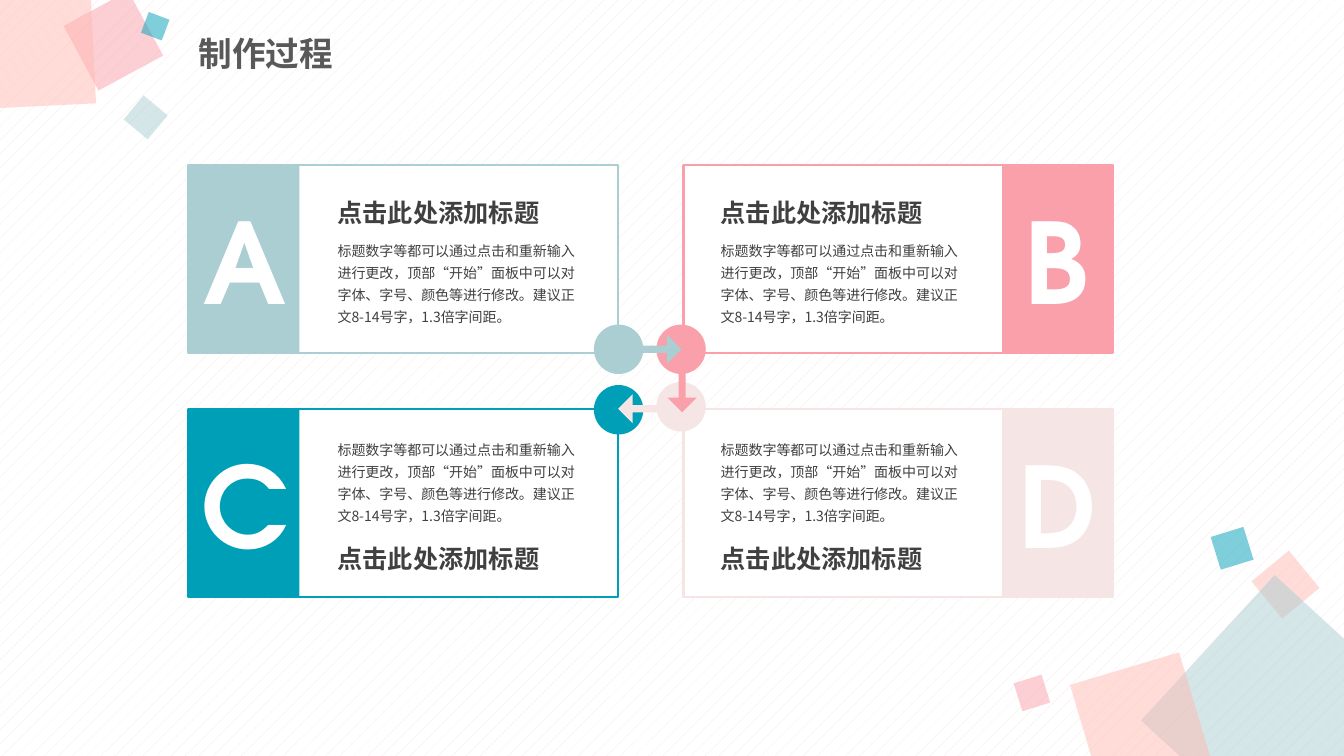
import pptx
import pptx.util
import pptx.dml.color
import pptx.enum.dml
import pptx.enum.shapes
import pptx.enum.text
import pptx.oxml
import pptx.oxml.ns

Inches = pptx.util.Inches
Shape = pptx.enum.shapes.MSO_SHAPE
Align = pptx.enum.text.PP_ALIGN
Anchor = pptx.enum.text.MSO_ANCHOR

SANS = "Noto Sans CJK SC"
GEOMETRIC = "TeX Gyre Adventor"
WHITE, DARK, GRAY = "FFFFFF", "404040", "595959"
MIST, PINK, TEAL, BLUSH, PEACH = "AACED2", "FAA0AA", "009FB8", "F5E5E4", "FFBBB3"

HEADING = "点击此处添加标题"
BODY = ("标题数字等都可以通过点击和重新输入进行更改，顶部“开始”面板中可以对"
        "字体、字号、颜色等进行修改。建议正文8-14号字，1.3倍字间距。")

# left, top, side, rotation, colour
TILES = [
    (12.51, 5.56, 0.48, 320.6, PEACH),
    (11.72, 6.11, 1.96, 42.6, MIST),
    (10.75, 6.61, 1.13, 343.4, PEACH),
    (10.09, 6.73, 0.29, 342.8, PINK),
    (12.05, 5.27, 0.34, 342.8, TEAL),
    (0.76, 0.04, 0.73, 331.6, PINK),
    (-0.46, -0.32, 1.38, 357.2, PEACH),
    (1.29, 1.01, 0.31, 309.8, MIST),
    (1.43, 0.15, 0.22, 290.5, TEAL),
]

# letter, colour, column, row, circle top, letter left, letter width
CARDS = [
    ("A", MIST, 0, 0, 3.22, 1.91, 1.03),
    ("B", PINK, 1, 0, 3.22, 10.06, 0.85),
    ("C", TEAL, 0, 1, 3.82, 1.89, 1.08),
    ("D", BLUSH, 1, 1, 3.79, 6.78 + 3.16, 1.1),
]
CARD_LEFT, CARD_TOP = (1.87, 6.78), (1.64, 4.06)
CARD_WIDTH, CARD_HEIGHT, STRIP_WIDTH = 4.26, 1.86, 1.1
STRIP_LEFT = (CARD_LEFT[0], CARD_LEFT[1] + CARD_WIDTH - STRIP_WIDTH)
TEXT_LEFT, TEXT_WIDTH = (3.25, 7.05), 2.6
BODY_TOP, HEADING_TOP = (2.31, 4.28), (1.82, 5.25)
LETTER_TOP = (1.85, 4.27)
CIRCLE_LEFT, CIRCLE_SIZE = (5.89, 6.51), 0.49

# left, top, rotation, colour
ARROWS = [
    (6.29, 3.32, 0, MIST),
    (6.53, 3.71, 90, PINK),
    (6.13, 3.91, 180, BLUSH),
]


def color(value):
    return pptx.dml.color.RGBColor.from_string(value)


def write(frame, text, size, font=SANS, fill=DARK, bold=False, align=Align.LEFT,
          anchor=Anchor.TOP, spacing=1.0, before=0, wrap=True):
    """Put one formatted paragraph into a text frame."""
    frame.word_wrap = wrap
    frame.vertical_anchor = anchor
    paragraph = frame.paragraphs[0]
    paragraph.alignment = align
    paragraph.line_spacing = spacing
    paragraph.space_before = pptx.util.Pt(before)
    run = paragraph.add_run()
    run.text = text
    run.font.size = pptx.util.Pt(size)
    run.font.bold = bold
    run.font.color.rgb = color(fill)
    run.font.name = font
    east_asian = pptx.oxml.parse_xml(
        f'<a:ea {pptx.oxml.ns.nsdecls("a")} typeface="{SANS}"/>')
    run.font._element.append(east_asian)


class SlideBuilder:
    def __init__(self, presentation):
        self.slide = presentation.slides.add_slide(presentation.slide_layouts[5])

    def background(self, foreground, back):
        fill = self.slide.background.fill
        fill.patterned()
        fill.pattern = pptx.enum.dml.MSO_PATTERN.PERCENT_5
        fill.fore_color.rgb = color(foreground)
        fill.back_color.rgb = color(back)

    def title(self, text, left, top, width, height):
        shape = self.slide.shapes.title
        shape.left, shape.top = Inches(left), Inches(top)
        shape.width, shape.height = Inches(width), Inches(height)
        write(shape.text_frame, text, 24, fill=GRAY, bold=True,
              anchor=Anchor.MIDDLE, spacing=0.9, before=10)

    def shape(self, kind, left, top, width, height, fill, line=None,
              rotation=0, alpha=None):
        shape = self.slide.shapes.add_shape(
            kind, Inches(left), Inches(top), Inches(width), Inches(height))
        shape.shadow.inherit = False
        shape.rotation = rotation
        shape.fill.solid()
        shape.fill.fore_color.rgb = color(fill)
        if line:
            shape.line.color.rgb = color(line)
            shape.line.width = pptx.util.Pt(1.5)
        else:
            shape.line.fill.background()
        if alpha is not None:
            solid = shape._element.spPr.find(pptx.oxml.ns.qn("a:solidFill"))
            solid[0].append(pptx.oxml.parse_xml(
                f'<a:alpha {pptx.oxml.ns.nsdecls("a")} val="{alpha * 1000}"/>'))
        return shape

    def text(self, text, left, top, width, height, **style):
        box = self.slide.shapes.add_textbox(
            Inches(left), Inches(top), Inches(width), Inches(height))
        write(box.text_frame, text, **style)
        box.text_frame.auto_size = pptx.enum.text.MSO_AUTO_SIZE.SHAPE_TO_FIT_TEXT

    def arrow(self, left, top, rotation, fill):
        arrow = self.shape(Shape.RIGHT_ARROW, left, top, 0.47, 0.29, fill,
                           rotation=rotation)
        arrow.adjustments[0] = 0.244
        arrow.adjustments[1] = 0.5

    def card(self, letter, fill, column, row, circle_top, letter_left, letter_width):
        top = CARD_TOP[row]
        self.shape(Shape.RECTANGLE, CARD_LEFT[column], top, CARD_WIDTH,
                   CARD_HEIGHT, WHITE, line=fill)
        self.shape(Shape.RECTANGLE, STRIP_LEFT[column], top, STRIP_WIDTH,
                   CARD_HEIGHT, fill)
        self.text(BODY, TEXT_LEFT[column], BODY_TOP[row], TEXT_WIDTH, 0.98,
                  size=10, spacing=1.3)
        self.text(HEADING, TEXT_LEFT[column], HEADING_TOP[row], TEXT_WIDTH, 0.49,
                  size=18, font=GEOMETRIC, bold=True, spacing=1.3)
        self.shape(Shape.OVAL, CIRCLE_LEFT[column], circle_top, CIRCLE_SIZE,
                   CIRCLE_SIZE, fill)
        self.text(letter, letter_left, LETTER_TOP[row], letter_width, 1.45,
                  size=80, font=GEOMETRIC, fill=WHITE, bold=True,
                  align=Align.CENTER, anchor=Anchor.MIDDLE, wrap=False)


def main():
    presentation = pptx.Presentation()
    presentation.slide_width = Inches(13.33)
    presentation.slide_height = Inches(7.5)

    builder = SlideBuilder(presentation)
    builder.background(BLUSH, WHITE)
    for left, top, side, rotation, fill in TILES:
        builder.shape(Shape.RECTANGLE, left, top, side, side, fill,
                      rotation=rotation, alpha=50)
    builder.title("制作过程", 1.87, 0.26, 6.13, 0.58)
    for card in CARDS:
        builder.card(*card)
    for arrow in ARROWS:
        builder.arrow(*arrow)

    presentation.save("out.pptx")


if __name__ == "__main__":
    main()
